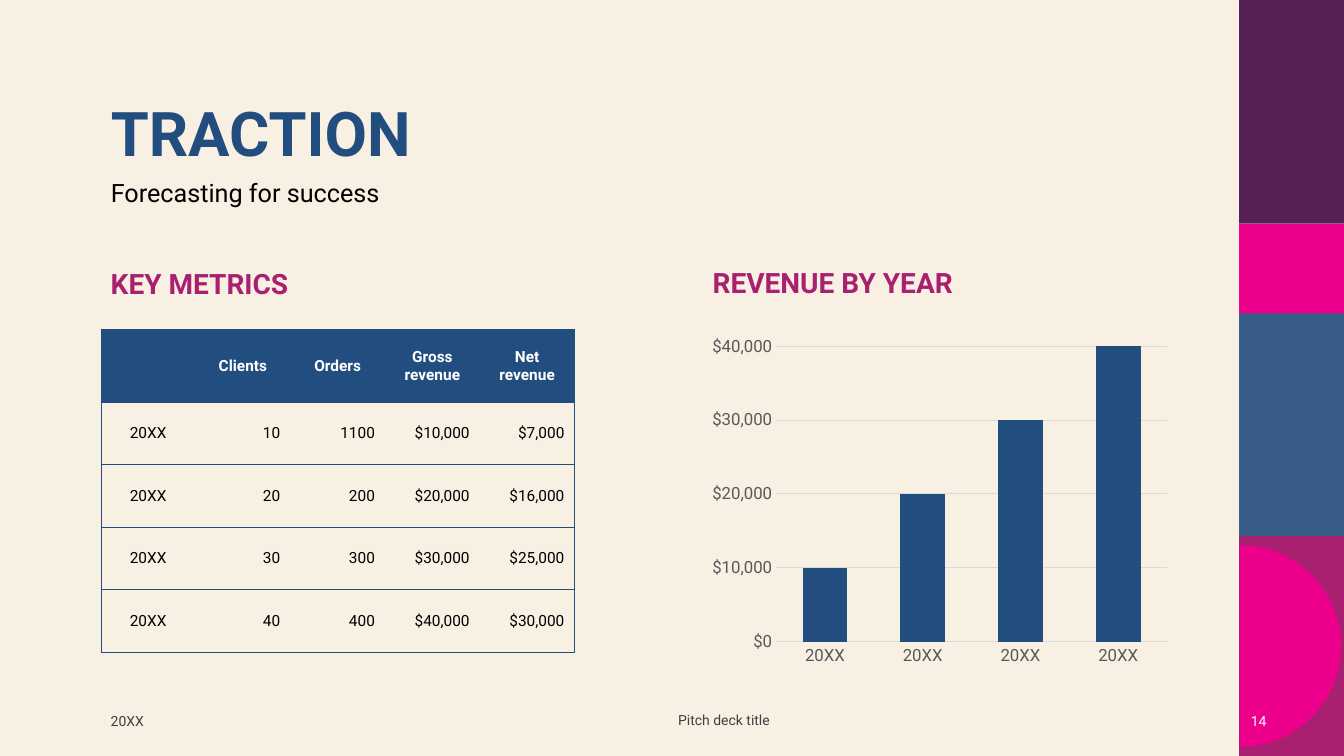
import math

from lxml import etree
from pptx import Presentation
from pptx.chart.data import CategoryChartData
from pptx.dml.color import RGBColor
from pptx.enum.chart import XL_CHART_TYPE, XL_TICK_MARK
from pptx.enum.shapes import MSO_SHAPE
from pptx.enum.text import MSO_ANCHOR, PP_ALIGN
from pptx.oxml.ns import qn
from pptx.util import Emu, Pt

PX = 9144  # EMU per px, 100 px to the inch
COLUMNS = XL_CHART_TYPE.COLUMN_CLUSTERED
NO_TICK = XL_TICK_MARK.NONE
RECT = MSO_SHAPE.RECTANGLE
TOP, MIDDLE = MSO_ANCHOR.TOP, MSO_ANCHOR.MIDDLE
LEFT, CENTER, RIGHT = PP_ALIGN.LEFT, PP_ALIGN.CENTER, PP_ALIGN.RIGHT


class Theme:
    font = "Roboto"
    cream, navy, magenta = "F8F0E3", "224E7F", "AA2070"
    pink, plum, steel = "EC008C", "582156", "385E88"
    black, white = "000000", "FFFFFF"
    footer, axis, grid = "404040", "595959", "D9D9D9"
    title_size, subtitle_size, heading_size = 44, 18, 20
    table_size, axis_size, footer_size = 11, 12, 10


METRICS = [
    ("", "Clients", "Orders", "Gross revenue", "Net revenue"),
    ("20XX", "10", "1100", "$10,000", "$7,000"),
    ("20XX", "20", "200", "$20,000", "$16,000"),
    ("20XX", "30", "300", "$30,000", "$25,000"),
    ("20XX", "40", "400", "$40,000", "$30,000"),
]
YEARS = ["20XX"] * 4
REVENUE = [10000, 20000, 30000, 40000]


def px(*values):
    return [Emu(v * PX) for v in values]


def rgb(color):
    return RGBColor.from_string(color)


def style_font(font, size, color, bold=False):
    font.name = Theme.font
    font.size = Pt(size)
    font.bold = bold
    font.color.rgb = rgb(color)


def paint(sp, color):
    sp.shadow.inherit = False
    sp.fill.solid()
    sp.fill.fore_color.rgb = rgb(color)
    sp.line.fill.background()


def add_band(s, box, color):
    paint(s.shapes.add_shape(RECT, *px(*box)), color)


def add_half_disc(s, x, cy, radius, color, steps=90):
    angles = [math.pi * (i / steps - 0.5) for i in range(steps + 1)]
    points = [(round((x + radius * math.cos(a)) * PX),
               round((cy + radius * math.sin(a)) * PX)) for a in angles]
    outline = s.shapes.build_freeform(*points[0], scale=1.0)
    outline.add_line_segments(points[1:], close=True)
    paint(outline.convert_to_shape(), color)


def add_text(s, box, text, size, color, bold=False, align=LEFT,
             anchor=MIDDLE, spacing=None, before=None):
    tf = s.shapes.add_textbox(*px(*box)).text_frame
    tf.word_wrap = True
    tf.vertical_anchor = anchor
    tf.text = text
    p = tf.paragraphs[0]
    p.alignment = align
    if spacing:
        p.line_spacing = spacing
    if before:
        p.space_before = Pt(before)
    style_font(p.runs[0].font, size, color, bold)


def add_heading(s, box, text):
    add_text(s, box, text, Theme.heading_size, Theme.magenta, bold=True,
             spacing=0.9, before=10)


def set_borders(cell, visible):
    """Draw the sides named in visible and clear the other ones."""
    tcPr = cell._tc.get_or_add_tcPr()
    for i, side in enumerate("LRTB"):
        ln = etree.Element(qn("a:ln" + side), w=str(Pt(0.5)))
        if side in visible:
            fill = etree.SubElement(ln, qn("a:solidFill"))
            etree.SubElement(fill, qn("a:srgbClr"), val=Theme.navy)
        else:
            etree.SubElement(ln, qn("a:noFill"))
        tcPr.insert(i, ln)


def fill_cell(cell, text, header, align):
    cell.vertical_anchor = MIDDLE
    if header:
        cell.fill.solid()
        cell.fill.fore_color.rgb = rgb(Theme.navy)
    else:
        cell.fill.background()
    cell.text_frame.text = text
    p = cell.text_frame.paragraphs[0]
    p.alignment = align
    color = Theme.white if header else Theme.black
    for r in p.runs:
        style_font(r.font, Theme.table_size, color, header)


def add_metrics_table(s, x, y, col_width, header_height, row_height):
    rows, cols = len(METRICS), len(METRICS[0])
    height = header_height + row_height * (rows - 1)
    frame = s.shapes.add_table(rows, cols, *px(x, y, col_width * cols, height))
    table = frame.table
    table.horz_banding = False
    for col in table.columns:
        col.width = Emu(col_width * PX)
    for i, values in enumerate(METRICS):
        table.rows[i].height = Emu((row_height if i else header_height) * PX)
        for j, text in enumerate(values):
            cell = table.cell(i, j)
            fill_cell(cell, text, i == 0, RIGHT if i and j else CENTER)
            sides = "TB" + "L" * (j == 0) + "R" * (j == cols - 1)
            set_borders(cell, sides)


def style_line(line, color):
    line.color.rgb = rgb(color)
    line.width = Pt(0.75)


def add_revenue_chart(s, box):
    data = CategoryChartData()
    data.categories = YEARS
    data.add_series("Series 1", REVENUE)
    chart = s.shapes.add_chart(COLUMNS, *px(*box), data).chart
    chart.has_title = False
    chart.has_legend = False
    style_font(chart.font, Theme.footer_size, Theme.black)

    # Columns
    plot = chart.plots[0]
    plot.vary_by_categories = False
    plot.gap_width = 118
    plot.overlap = -3
    fill = plot.series[0].format.fill
    fill.solid()
    fill.fore_color.rgb = rgb(Theme.navy)

    # Axes
    years, dollars = chart.category_axis, chart.value_axis
    for axis in (years, dollars):
        axis.major_tick_mark = axis.minor_tick_mark = NO_TICK
        style_font(axis.tick_labels.font, Theme.axis_size, Theme.axis)
    style_line(years.format.line, Theme.grid)
    dollars.format.line.fill.background()
    dollars.minimum_scale, dollars.maximum_scale = 0, 40000
    dollars.major_unit = 10000
    dollars.has_major_gridlines = True
    style_line(dollars.major_gridlines.format.line, Theme.grid)
    dollars.tick_labels.number_format = "[$$-409]#,##0"
    dollars.tick_labels.number_format_is_linked = False


def main():
    prs = Presentation()
    prs.slide_width, prs.slide_height = px(1333, 750)
    s = prs.slides.add_slide(prs.slide_layouts[6])
    s.background.fill.solid()
    s.background.fill.fore_color.rgb = rgb(Theme.cream)

    # Side strip
    for y, height, color in ((528, 222, Theme.magenta), (310, 222, Theme.steel),
                             (0, 222, Theme.plum), (222, 89, Theme.pink)):
        add_band(s, (1229, y, 104, height), color)
    add_half_disc(s, 1230, 641, 100, Theme.pink)

    # Title and subtitle
    add_text(s, (100, 98, 998, 145), "TRACTION", Theme.title_size, Theme.navy,
             bold=True, anchor=TOP, spacing=0.9)
    add_text(s, (100, 174, 998, 66), "Forecasting for success",
             Theme.subtitle_size, Theme.black, anchor=TOP, spacing=0.9, before=10)

    # Metrics and revenue
    add_heading(s, (100, 258, 470, 50), "KEY METRICS")
    add_metrics_table(s, 100, 327, 94, 72, 62)
    add_heading(s, (697, 257, 470, 50), "REVENUE BY YEAR")
    add_revenue_chart(s, (697, 327, 470, 340))

    # Footer
    for box, text, color, align in (
            ((100, 695, 120, 40), "20XX", Theme.footer, LEFT),
            ((593, 694, 250, 40), "Pitch deck title", Theme.footer, CENTER),
            ((1216, 695, 50, 40), "14", Theme.white, RIGHT)):
        add_text(s, box, text, Theme.footer_size, color, align=align)

    prs.save("out.pptx")


if __name__ == "__main__":
    main()
